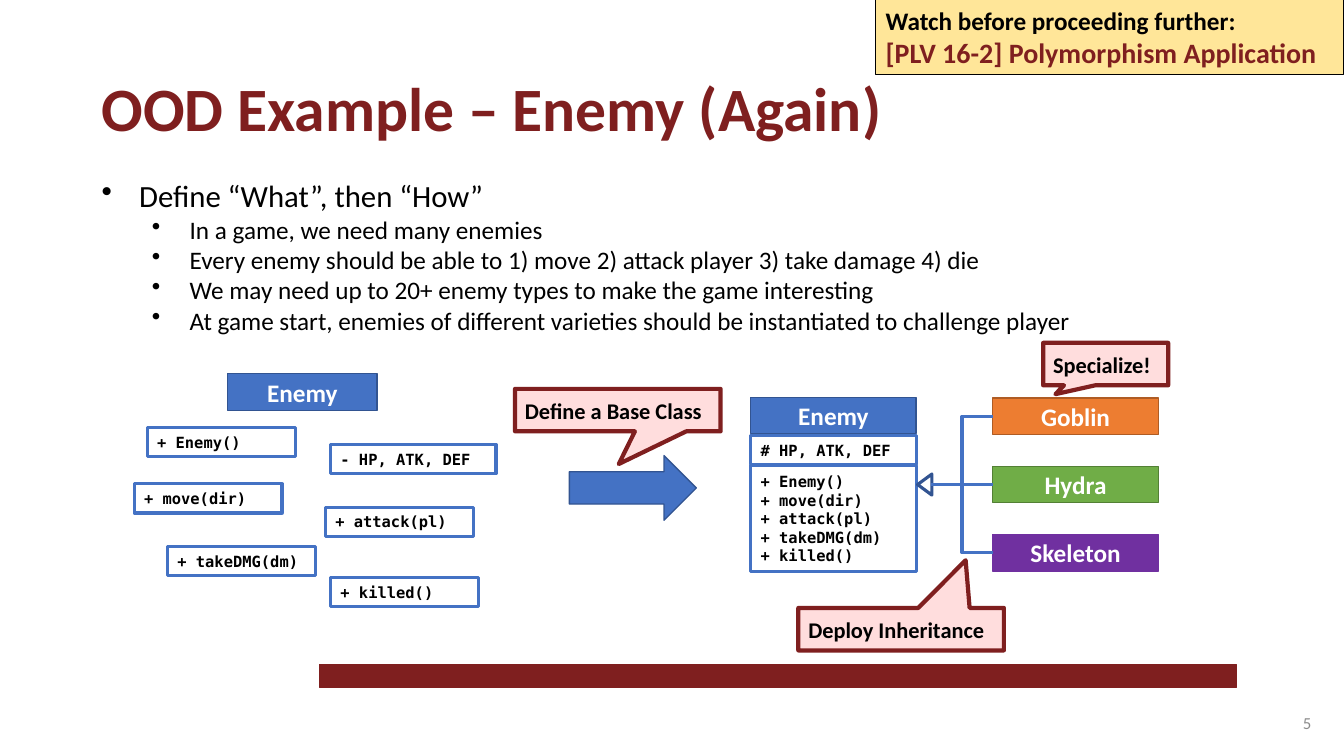
from lxml import etree
from pptx import Presentation
from pptx.dml.color import RGBColor
from pptx.enum import shapes, text
from pptx.oxml.ns import qn
from pptx.util import Cm, Pt

MAROON = RGBColor(0x7F, 0x1F, 0x1F)
BLUE = RGBColor(0x44, 0x72, 0xC4)
NAVY = RGBColor(0x32, 0x54, 0x91)
ORANGE = RGBColor(0xED, 0x7D, 0x31)
BROWN = RGBColor(0xAF, 0x5C, 0x24)
GREEN = RGBColor(0x70, 0xAD, 0x47)
DARK_GREEN = RGBColor(0x53, 0x80, 0x35)
PURPLE = RGBColor(0x70, 0x30, 0xA0)
PINK = RGBColor(0xFF, 0xDD, 0xDD)
YELLOW = RGBColor(0xFF, 0xE6, 0x99)
GRAY = RGBColor(0x8C, 0x8C, 0x8C)
BLACK = RGBColor(0, 0, 0)
WHITE = RGBColor(0xFF, 0xFF, 0xFF)

SHAPE = shapes.MSO_SHAPE
LEFT, CENTER, RIGHT = text.PP_ALIGN.LEFT, text.PP_ALIGN.CENTER, text.PP_ALIGN.RIGHT
MIDDLE, TOP = text.MSO_ANCHOR.MIDDLE, text.MSO_ANCHOR.TOP
MONO = "DejaVu Sans Mono"

prs = Presentation()
prs.slide_width, prs.slide_height = Cm(33.87), Cm(19.05)
s = prs.slides.add_slide(prs.slide_layouts[6])


def write(sp, lines, size, color=BLACK, font="Calibri", bold=True, align=LEFT, anchor=MIDDLE):
    tf = sp.text_frame
    tf.word_wrap = True
    tf.vertical_anchor = anchor
    tf.text = "\n".join(lines)
    for p in tf.paragraphs:
        p.alignment = align
        p.font.name, p.font.size, p.font.bold = font, Pt(size), bold
        p.font.color.rgb = color
    return tf


def box(kind, x, y, w, h, fill, line, weight):
    sp = s.shapes.add_shape(kind, Cm(x), Cm(y), Cm(w), Cm(h))
    sp.shadow.inherit = False
    sp.fill.solid()
    sp.fill.fore_color.rgb = fill
    sp.line.color.rgb = line
    sp.line.width = Pt(weight)
    return sp


box(SHAPE.RECTANGLE, 8.05, 16.74, 23.11, 0.58, MAROON, MAROON, 1)

title = s.shapes.add_textbox(Cm(2.31), Cm(1.63), Cm(20.57), Cm(2.13))
write(title, ["OOD Example – Enemy (Again)"], 44, MAROON, anchor=TOP)

body = s.shapes.add_textbox(Cm(2.31), Cm(4.34), Cm(28.22), Cm(5.05))
tf = write(body, [
    "Define “What”, then “How”",
    "In a game, we need many enemies",
    "Every enemy should be able to 1) move 2) attack player 3) take damage 4) die",
    "We may need up to 20+ enemy types to make the game interesting",
    "At game start, enemies of different varieties should be instantiated to challenge player",
], 18, bold=False, anchor=TOP)
tf.paragraphs[0].font.size = Pt(22)
for i, p in enumerate(tf.paragraphs):
    p.level = min(i, 1)
    pPr = p._p.get_or_add_pPr()
    pPr.set("marL", str(Cm(0.95 + 1.27 * p.level)))
    pPr.set("indent", str(-Cm(0.95)))
    bullet = etree.Element(qn("a:buChar"), char="•")
    pPr.insert_element_before(bullet, "a:tabLst", "a:defRPr", "a:extLst")

number = s.shapes.add_textbox(Cm(25.68), Cm(17.7), Cm(7.62), Cm(1.02))
write(number, ["5"], 12, GRAY, bold=False, align=RIGHT)

headers = {}
for name, x, y, w, fill, line in [
    ("Enemy", 5.74, 9.42, 3.76, BLUE, NAVY),
    ("Enemy", 18.92, 10.01, 4.17, BLUE, NAVY),
    ("Goblin", 25.02, 10.03, 4.17, ORANGE, BROWN),
    ("Hydra", 25.02, 11.75, 4.17, GREEN, DARK_GREEN),
    ("Skeleton", 25.02, 13.47, 4.17, PURPLE, PURPLE),
]:
    headers[name] = box(SHAPE.RECTANGLE, x, y, w, 0.92, fill, line, 1)
    write(headers[name], [name], 18, WHITE, align=CENTER)

methods = ["+ Enemy()", "+ move(dir)", "+ attack(pl)", "+ takeDMG(dm)", "+ killed()"]
spots = [(3.71, 10.77), (3.38, 12.19), (8.2, 12.78), (4.22, 13.77), (8.33, 14.55)]
members = [([m], x, y, 3.73, 0.74) for m, (x, y) in zip(methods, spots)]
members += [
    (["- HP, ATK, DEF"], 8.33, 11.2, 4.17, 0.74),
    (["# HP, ATK, DEF"], 18.92, 10.97, 4.17, 0.74),
    (methods, 18.92, 11.73, 4.17, 2.67),
]
for lines, x, y, w, h in members:
    write(box(SHAPE.RECTANGLE, x, y, w, h, WHITE, BLUE, 2.25), lines, 11, font=MONO)

box(SHAPE.RIGHT_ARROW, 14.35, 11.48, 3.2, 1.63, BLUE, NAVY, 1)

head = box(SHAPE.ISOSCELES_TRIANGLE, 23.04, 12.03, 0.53, 0.36, WHITE, NAVY, 2.25)
head.fill.background()
head.rotation = 270

for name, kind in [
    ("Hydra", shapes.MSO_CONNECTOR.STRAIGHT),
    ("Goblin", shapes.MSO_CONNECTOR.ELBOW),
    ("Skeleton", shapes.MSO_CONNECTOR.ELBOW),
]:
    child = headers[name]
    c = s.shapes.add_connector(kind, child.left, child.top + child.height // 2, Cm(23.47), Cm(12.21))
    c.begin_connect(child, 1)
    c.line.color.rgb = BLUE
    c.line.width = Pt(2.25)
    etree.SubElement(c._element.spPr, qn("a:effectLst"))

for label, x, y, w, tip in [
    ("Define a Base Class", 12.98, 9.8, 5.18, (0.005, 1.27)),
    ("Deploy Inheritance", 20.12, 15.32, 5.18, (0.314, -1.623)),
    ("Specialize!", 26.29, 8.64, 3.15, (-0.402, 0.709)),
]:
    callout = box(SHAPE.RECTANGULAR_CALLOUT, x, y, w, 1.07, PINK, MAROON, 3)
    callout.adjustments[0], callout.adjustments[1] = tip
    write(callout, [label], 16)

note = box(SHAPE.RECTANGLE, 22.07, 0, 11.79, 1.88, YELLOW, BLACK, 0.75)
tf = write(note, ["Watch before proceeding further:", "[PLV 16-2] Polymorphism Application"], 18, anchor=TOP)
tf.paragraphs[1].font.size = Pt(20)
tf.paragraphs[1].font.color.rgb = MAROON

prs.save("out.pptx")
